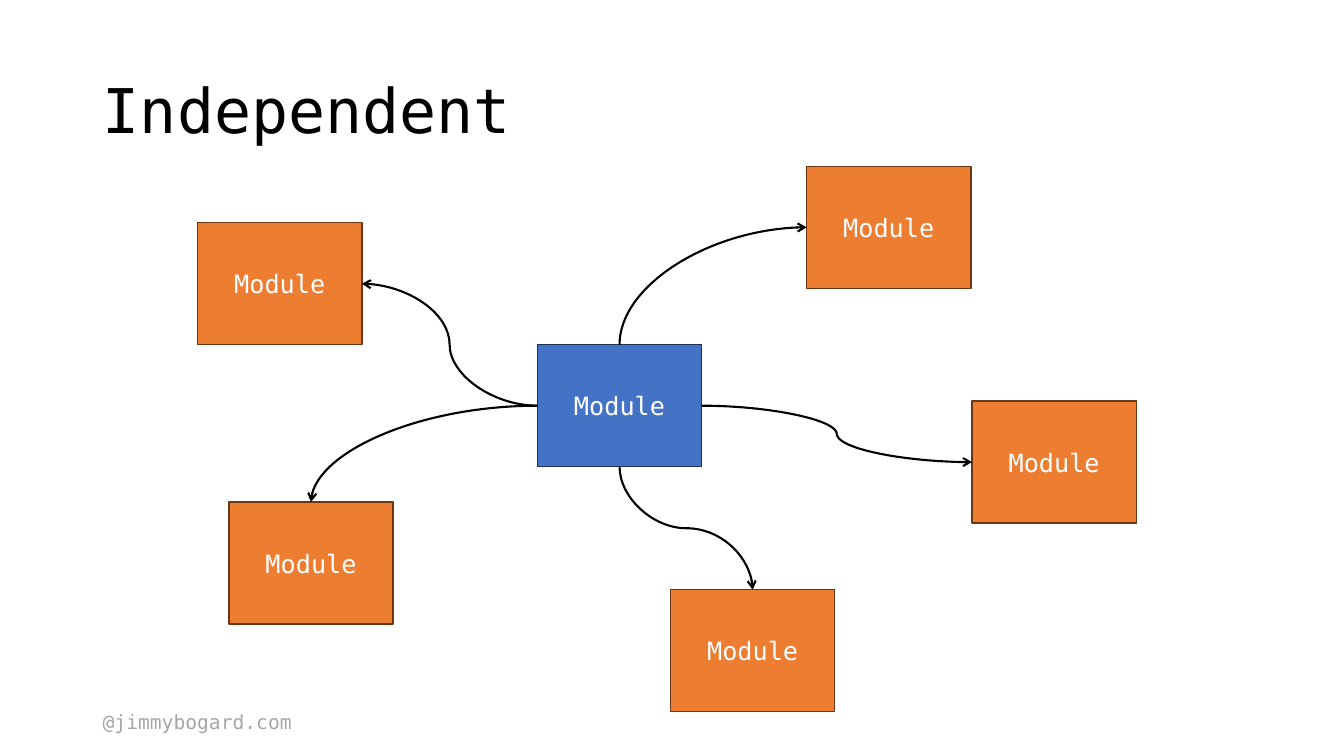
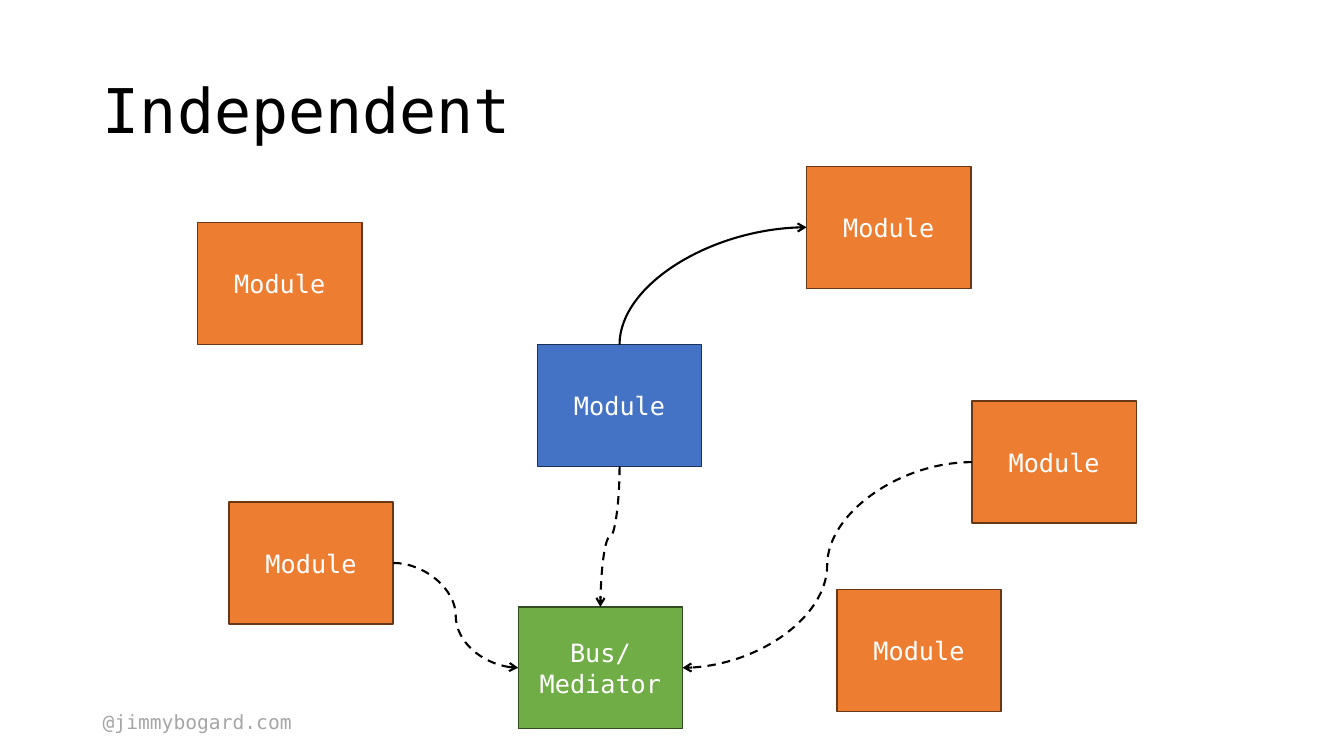
from dataclasses import dataclass
from enum import IntEnum

from lxml.etree import SubElement
from pptx import Presentation
from pptx.dml.color import RGBColor
from pptx.enum.dml import MSO_LINE_DASH_STYLE as Dash
from pptx.enum.shapes import MSO_CONNECTOR as ConnectorType, MSO_SHAPE as ShapeType
from pptx.enum.text import MSO_ANCHOR as Anchor, MSO_AUTO_SIZE as AutoSize, PP_ALIGN as Align
from pptx.oxml.ns import qn
from pptx.util import Inches, Pt


@dataclass(frozen=True)
class Theme:
    """Colours, as fill and outline pairs where needed, and type sizes."""

    font: str = "DejaVu Sans Mono"
    title_size: int = 44
    label_size: int = 18
    footer_size: int = 14
    text: str = "000000"
    label: str = "FFFFFF"
    footer: str = "A6A6A6"
    sender: tuple = ("4472C4", "1E3256")
    receiver: tuple = ("ED7D31", "683715")
    bus: tuple = ("70AD47", "314C1F")
    outline_width: float = 1
    arrow_width: float = 1.5


class Side(IntEnum):
    """Connection sites of a rectangle."""

    TOP = 0
    LEFT = 1
    BOTTOM = 2
    RIGHT = 3


THEME = Theme()
TITLE_BOX = (0.92, 0.4, 11.5, 1.45)
FOOTER_BOX = (0.92, 6.99, 2.85, 0.34)
DIAGRAM_ORIGIN = (1.96, 1.65)
MODULE_SIZE = (1.63, 1.21)

SENDER = {"sender": ("Module", 3.37, 1.77, THEME.sender)}
RECEIVERS = {
    "upper left": ("Module", 0, 0.56, THEME.receiver),
    "lower left": ("Module", 0.31, 3.33, THEME.receiver),
    "upper right": ("Module", 6.04, 0, THEME.receiver),
    "right": ("Module", 7.68, 2.33, THEME.receiver),
}
DIRECT_MODULES = SENDER | RECEIVERS | {"bottom": ("Module", 4.69, 4.2, THEME.receiver)}
BUS_MODULES = SENDER | RECEIVERS | {
    "bottom": ("Module", 6.34, 4.2, THEME.receiver),
    "bus": ("Bus/ Mediator", 3.18, 4.37, THEME.bus),
}
SHARED_ARROW = ("sender", Side.TOP, "upper right", Side.LEFT, False)
DIRECT_ARROWS = [
    ("sender", Side.LEFT, "upper left", Side.RIGHT, False),
    ("sender", Side.LEFT, "lower left", Side.TOP, False),
    ("sender", Side.BOTTOM, "bottom", Side.TOP, False),
    ("sender", Side.RIGHT, "right", Side.LEFT, False),
    SHARED_ARROW,
]
BUS_ARROWS = [
    ("lower left", Side.RIGHT, "bus", Side.LEFT, True),
    SHARED_ARROW,
    ("sender", Side.BOTTOM, "bus", Side.TOP, True),
    ("right", Side.LEFT, "bus", Side.RIGHT, True),
]


def rgb(value):
    """Return a colour from its hexadecimal name."""
    return RGBColor.from_string(value)


def style_paragraph(paragraph, size, color, alignment=Align.LEFT):
    """Apply the shared typeface with a size, colour and alignment."""
    paragraph.alignment = alignment
    paragraph.font.name = THEME.font
    paragraph.font.size = Pt(size)
    paragraph.font.color.rgb = rgb(color)


def add_title(slide, text, box):
    """Fill the title placeholder and place it in the box."""
    title = slide.shapes.title
    title.left, title.top, title.width, title.height = map(Inches, box)
    frame = title.text_frame
    frame.text = text
    frame.auto_size = AutoSize.NONE
    frame.vertical_anchor = Anchor.MIDDLE
    frame.paragraphs[0].line_spacing = 0.9
    style_paragraph(frame.paragraphs[0], THEME.title_size, THEME.text)


def add_master_footer(slide, text, box):
    """Make the footer text and move it to the slide's master."""
    footer = slide.shapes.add_textbox(*map(Inches, box))
    frame = footer.text_frame
    frame.text = text
    frame.word_wrap = True
    frame.auto_size = AutoSize.SHAPE_TO_FIT_TEXT
    style_paragraph(frame.paragraphs[0], THEME.footer_size, THEME.footer)
    slide.slide_layout.slide_master.shapes._spTree.append(footer._element)


def add_module(slide, text, box, colors):
    """Draw one labelled module."""
    module = slide.shapes.add_shape(ShapeType.RECTANGLE, *map(Inches, box))
    fill, outline = colors
    module.shadow.inherit = False
    module.fill.solid()
    module.fill.fore_color.rgb = rgb(fill)
    module.line.color.rgb = rgb(outline)
    module.line.width = Pt(THEME.outline_width)
    frame = module.text_frame
    frame.text = text
    frame.word_wrap = True
    frame.vertical_anchor = Anchor.MIDDLE
    style_paragraph(frame.paragraphs[0], THEME.label_size, THEME.label, Align.CENTER)
    return module


def shape_curve(connector, start_side, end_side):
    """Turn and flip the curve so that it leaves its start side squarely."""
    start_x, start_y = connector.begin_x, connector.begin_y
    across, down = connector.end_x - start_x, connector.end_y - start_y
    properties = connector._element.spPr
    transform = properties.get_or_add_xfrm()
    upright = start_side in (Side.TOP, Side.BOTTOM)
    if upright:
        width, height = abs(down), abs(across)
        flips = {"flipH": down < 0, "flipV": across > 0}
        transform.set("rot", str(90 * 60000))
    else:
        width, height = abs(across), abs(down)
        flips = {"flipH": across < 0, "flipV": down < 0}
    for name, flipped in flips.items():
        transform.set(name, str(int(flipped)))
    connector.left = start_x + (across - width) // 2
    connector.top = start_y + (down - height) // 2
    connector.width, connector.height = width, height
    if upright != (end_side in (Side.TOP, Side.BOTTOM)):
        properties.find(qn("a:prstGeom")).set("prst", "curvedConnector2")


def add_arrow(slide, start, start_side, end, end_side, dashed):
    """Join two modules with a curved arrow."""
    connector = slide.shapes.add_connector(ConnectorType.CURVE, 0, 0, 0, 0)
    connector.begin_connect(start, start_side)
    connector.end_connect(end, end_side)
    shape_curve(connector, start_side, end_side)
    connector.line.color.rgb = rgb(THEME.text)
    connector.line.width = Pt(THEME.arrow_width)
    if dashed:
        connector.line.dash_style = Dash.DASH
    properties = connector._element.spPr
    SubElement(properties.get_or_add_ln(), qn("a:tailEnd"), type="arrow")
    SubElement(properties, qn("a:effectLst"))


def add_diagram(slide, origin, modules, arrows):
    """Draw modules relative to the origin, then their arrows."""
    left, top = origin
    shapes = {
        name: add_module(slide, text, (left + x, top + y, *MODULE_SIZE), colors)
        for name, (text, x, y, colors) in modules.items()
    }
    for start, start_side, end, end_side, dashed in arrows:
        add_arrow(slide, shapes[start], start_side, shapes[end], end_side, dashed)


def add_module_slide(presentation, title, modules, arrows):
    """Add a slide with a title and a module diagram."""
    slide = presentation.slides.add_slide(presentation.slide_layouts.get_by_name("Title Only"))
    add_title(slide, title, TITLE_BOX)
    add_diagram(slide, DIAGRAM_ORIGIN, modules, arrows)
    return slide


def main():
    """Build and save the presentation."""
    presentation = Presentation()
    presentation.slide_width, presentation.slide_height = Inches(13.33), Inches(7.5)
    first_slide = add_module_slide(presentation, "Independent", DIRECT_MODULES, DIRECT_ARROWS)
    add_master_footer(first_slide, "@jimmybogard.com", FOOTER_BOX)
    add_module_slide(presentation, "Independent", BUS_MODULES, BUS_ARROWS)
    presentation.save("out.pptx")


if __name__ == "__main__":
    main()
